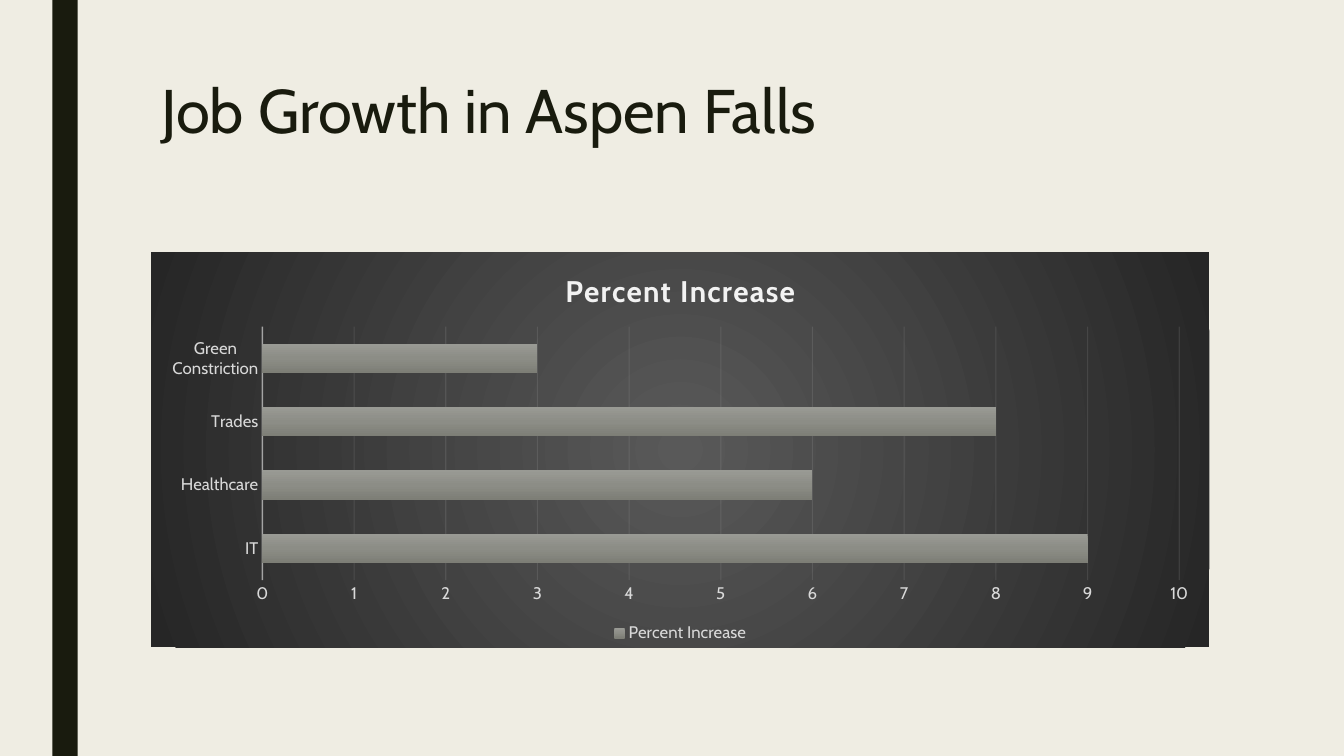
from lxml import etree
from pptx import Presentation
from pptx.chart.data import CategoryChartData
from pptx.dml.color import RGBColor
from pptx.enum.chart import XL_CHART_TYPE, XL_LEGEND_POSITION, XL_TICK_MARK
from pptx.enum.shapes import MSO_SHAPE
from pptx.enum.text import MSO_ANCHOR, MSO_AUTO_SIZE, PP_ALIGN
from pptx.oxml import parse_xml
from pptx.oxml.ns import nsdecls, qn
from pptx.util import Cm, Pt

FONT = "Cabin"
DARK, CREAM = "191B0E", "EFEDE3"
LIGHT, LABEL = "F2F2F2", "D9D9D9"
RADIAL = ('<a:path path="circle"><a:fillToRect l="50000" t="50000" '
          'r="50000" b="50000"/></a:path>')
DOWNWARD = '<a:lin ang="5400000" scaled="0"/>'


def rgb(color):
    return RGBColor.from_string(color)


def set_font(font, size, color, bold=False):
    font.name, font.size, font.bold = FONT, Pt(size), bold
    font.color.rgb = rgb(color)


def gradient(stops, direction):
    gs = "".join(f'<a:gs pos="{pos * 1000}"><a:srgbClr val="{color}"/></a:gs>'
                 for pos, color in stops)
    return parse_xml(f'<a:gradFill {nsdecls("a")} rotWithShape="1">'
                     f'<a:gsLst>{gs}</a:gsLst>{direction}</a:gradFill>')


def set_line(owner, width, opacity):
    """Style an axis or its gridlines with a translucent light line."""
    line = owner.format.line
    line.width = Pt(width)
    line.color.rgb = rgb(LIGHT)
    clr = line.fill._xPr.find(".//" + qn("a:srgbClr"))
    etree.SubElement(clr, qn("a:alpha")).set("val", str(opacity * 1000))


def add_side_bar(s):
    sp = s.shapes.add_shape(MSO_SHAPE.RECTANGLE, Cm(1.32), Cm(0), Cm(0.64), Cm(19.05))
    sp.shadow.inherit = False
    sp.fill.solid()
    sp.fill.fore_color.rgb = rgb(DARK)
    sp.line.fill.background()


def set_title(s, text):
    sp = s.shapes.title
    sp.left, sp.top, sp.width, sp.height = Cm(3.81), Cm(1.9), Cm(26.67), Cm(4.11)
    tf = sp.text_frame
    tf.word_wrap = True
    tf.auto_size = MSO_AUTO_SIZE.NONE
    tf.vertical_anchor = MSO_ANCHOR.TOP
    p = tf.paragraphs[0]
    p.alignment = PP_ALIGN.LEFT
    p.line_spacing = 0.89
    r = p.add_run()
    r.text = text
    set_font(r.font, 44, DARK)


def style_axis(axis):
    axis.major_tick_mark = axis.minor_tick_mark = XL_TICK_MARK.NONE
    set_font(axis.tick_labels.font, 12, LABEL)


def add_bar_chart(s, name, growth):
    data = CategoryChartData()
    data.categories = list(growth)
    data.add_series(name, list(growth.values()))
    chart = s.shapes.add_chart(XL_CHART_TYPE.BAR_CLUSTERED, Cm(3.81), Cm(6.35),
                               Cm(26.67), Cm(9.96), data).chart
    set_font(chart.font, 10, "000000")

    # Chart background
    sp_pr = parse_xml(f'<c:spPr {nsdecls("c", "a")}><a:ln><a:noFill/></a:ln></c:spPr>')
    sp_pr.insert(0, gradient([(0, "595959"), (100, "262626")], RADIAL))
    chart._chartSpace.find(qn("c:txPr")).addprevious(sp_pr)

    # Title and legend
    p = chart.chart_title.text_frame.paragraphs[0]
    r = p.add_run()
    r.text = name
    set_font(r.font, 21.3, LIGHT, bold=True)
    r.font._element.set("spc", "100")
    chart.chart_title.include_in_layout = False
    chart.has_legend = True
    chart.legend.position = XL_LEGEND_POSITION.BOTTOM
    chart.legend.include_in_layout = False
    set_font(chart.legend.font, 12, LABEL)

    # Axes
    cat, val = chart.category_axis, chart.value_axis
    style_axis(cat)
    style_axis(val)
    set_line(cat, 1, 54)
    val.format.line.fill.background()
    val.minimum_scale, val.maximum_scale, val.major_unit = 0, 10, 1
    set_line(val.major_gridlines, 0.75, 10)

    # Bars
    plot = chart.plots[0]
    plot.gap_width, plot.overlap = 115, -20
    plot.vary_by_categories = False
    bars = plot.series[0]
    bars.invert_if_negative = False
    bars._element.get_or_add_spPr().insert(
        0, gradient([(0, "999A94"), (50, "8C8D86"), (100, "7D7E76")], DOWNWARD))


def main():
    prs = Presentation()
    prs.slide_width, prs.slide_height = Cm(33.87), Cm(19.05)
    s = prs.slides.add_slide(prs.slide_layouts[5])
    s.background.fill.solid()
    s.background.fill.fore_color.rgb = rgb(CREAM)
    add_side_bar(s)
    set_title(s, "Job Growth in Aspen Falls")
    add_bar_chart(s, "Percent Increase",
                  {"IT": 9, "Healthcare": 6, "Trades": 8, "Green Constriction": 3})
    prs.save("out.pptx")


if __name__ == "__main__":
    main()
